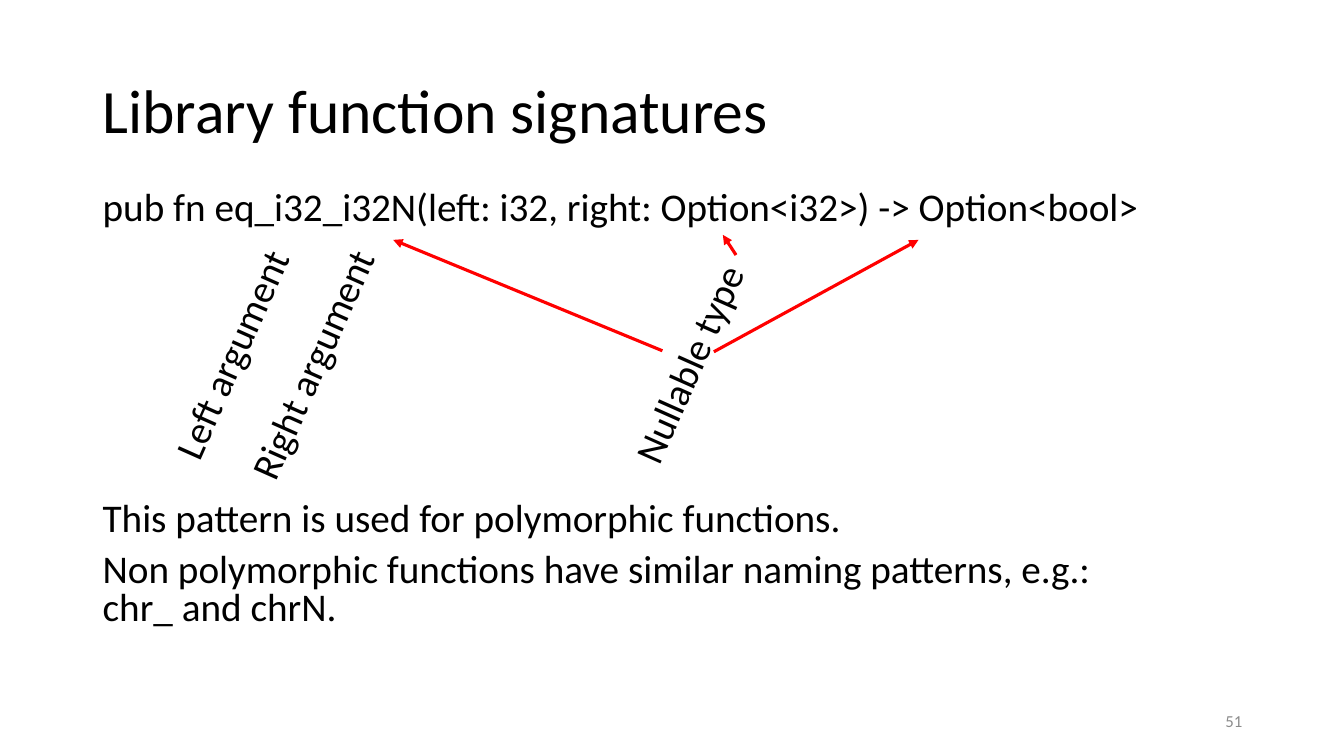
from pptx import Presentation
from pptx.dml.color import RGBColor
from pptx.enum import shapes, text
from pptx.oxml.ns import qn
from pptx.util import Inches, Pt
from lxml import etree

COLORS = {"ink": "000000", "arrow": "FF0000", "number": "8C8C8C"}
FONT = "Calibri"
LABEL_ANGLE = 293.9

SIGNATURE = "pub fn eq_i32_i32N(left: i32, right: Option<i32>) -> Option<bool>"
NOTES = [
    "This pattern is used for polymorphic functions.",
    "Non polymorphic functions have similar naming patterns, e.g.:\vchr_ and chrN.",
]
LABELS = [
    ("Left argument", (1.07, 3.21, 2.45, 0.57)),
    ("Right argument", (1.76, 3.31, 2.67, 0.57)),
    ("Nullable type", (5.67, 3.31, 2.32, 0.57)),
]
ARROWS = [
    ((6.57, 3.48), (3.9, 2.38)),
    ((7.3, 2.53), (7.17, 2.33)),
    ((7.08, 3.49), (9.11, 2.38)),
]


def add_text(page, area, lines, size=28, color="ink", spacing=1.0, wrap=True,
             anchor=text.MSO_ANCHOR.TOP, align=text.PP_ALIGN.LEFT):
    box = page.shapes.add_textbox(*map(Inches, area))
    frame = box.text_frame
    frame.word_wrap = wrap
    frame.vertical_anchor = anchor
    for index, line in enumerate(lines):
        para = frame.paragraphs[0] if index == 0 else frame.add_paragraph()
        para.text = line
        para.alignment = align
        para.line_spacing = spacing
        if index:
            para.space_before = Pt(10)
        para.font.name = FONT
        para.font.size = Pt(size)
        para.font.color.rgb = RGBColor.from_string(COLORS[color])
    return box


def add_title(page, area):
    add_text(page, area, ["Library function signatures"], size=44, spacing=0.9,
             anchor=text.MSO_ANCHOR.MIDDLE)


def add_body(page, area):
    """Put the signature at the top of the area and the notes below the labels."""
    left, top, width, height = area
    notes_offset = 3.08
    add_text(page, (left, top, width, 0.5), [SIGNATURE], spacing=0.8)
    add_text(page, (left, top + notes_offset, width, height - notes_offset),
             NOTES, spacing=0.8)


def add_label(page, area, label):
    box = add_text(page, area, [label], wrap=False)
    box.text_frame.auto_size = text.MSO_AUTO_SIZE.SHAPE_TO_FIT_TEXT
    box.rotation = LABEL_ANGLE


def add_arrow(page, start, end):
    arrow = page.shapes.add_connector(
        shapes.MSO_CONNECTOR.STRAIGHT, *map(Inches, start + end))
    arrow.line.color.rgb = RGBColor.from_string(COLORS["arrow"])
    arrow.line.width = Pt(2.25)
    etree.SubElement(arrow.line._get_or_add_ln(), qn("a:tailEnd"), type="triangle")
    etree.SubElement(arrow._element.spPr, qn("a:effectLst"))


def add_page_number(page, area):
    add_text(page, area, ["51"], size=12, color="number",
             anchor=text.MSO_ANCHOR.MIDDLE, align=text.PP_ALIGN.RIGHT)


def main():
    deck = Presentation()
    deck.slide_width, deck.slide_height = Inches(13.33), Inches(7.5)
    page = deck.slides.add_slide(deck.slide_layouts[6])
    add_title(page, (0.92, 0.4, 11.5, 1.45))
    add_body(page, (0.92, 1.85, 11.5, 5))
    for label, area in LABELS:
        add_label(page, area, label)
    for start, end in ARROWS:
        add_arrow(page, start, end)
    add_page_number(page, (9.42, 6.95, 3, 0.4))
    deck.save("out.pptx")


if __name__ == "__main__":
    main()
